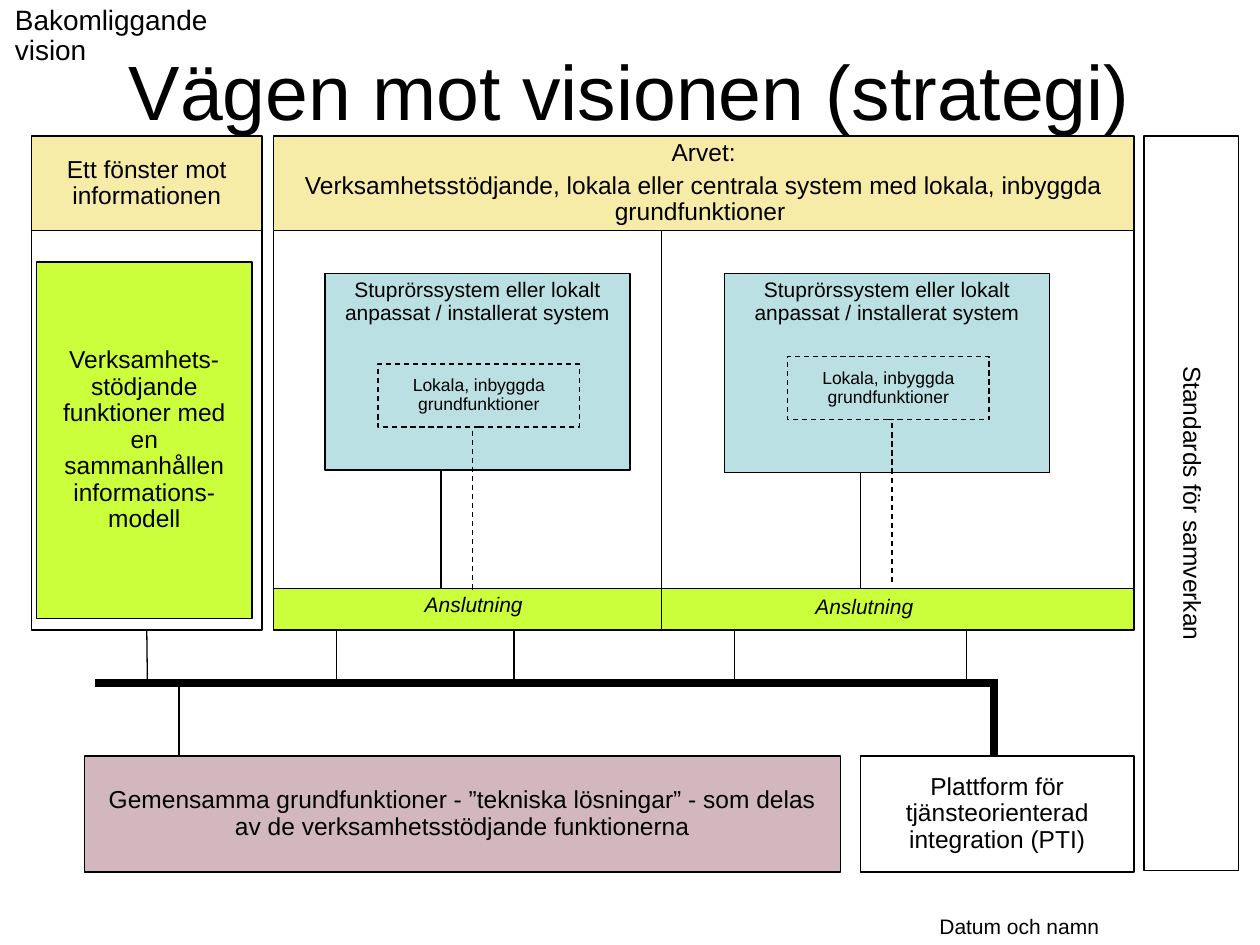
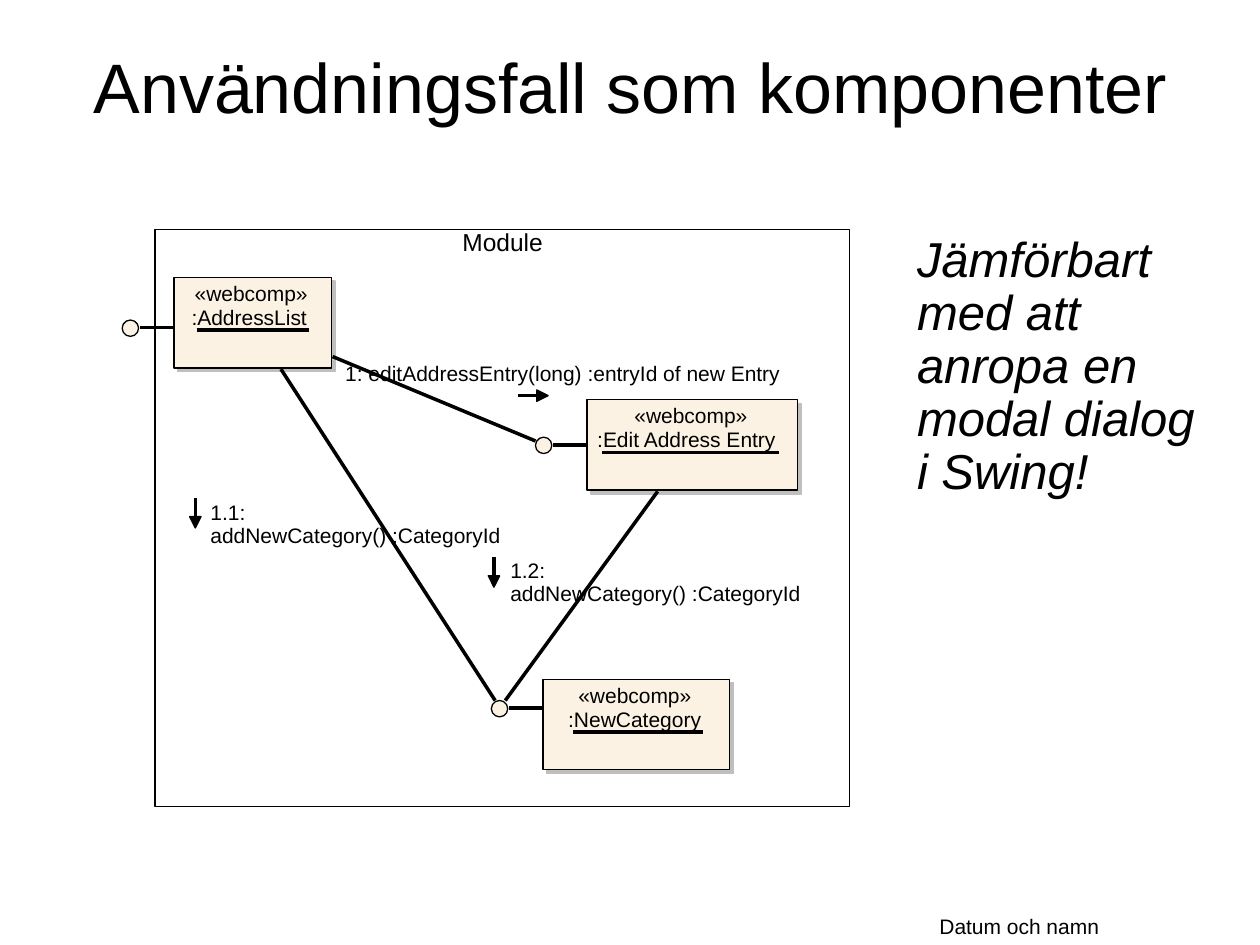
"""Build two slides: an integration strategy map and a component diagram."""
from math import hypot

from lxml import etree
from pptx import Presentation
from pptx import util as u
from pptx.dml.color import RGBColor
from pptx.enum import dml, shapes, text
from pptx.oxml.ns import qn

FONT = "Arial"
BLACK, WHITE = "000000", "FFFFFF"
SAND, LIME, AQUA, MAUVE = "F7ECA7", "CCFF3B", "BBE0E3", "D2B8BE"
CREAM, SHADE = "FCF2E3", "C0BFC0"
THIN, BUS, HAIRLINE = 0.75, 4.5, 0
LEFT, CENTER = text.PP_ALIGN.LEFT, text.PP_ALIGN.CENTER
TOP, MIDDLE = text.MSO_ANCHOR.TOP, text.MSO_ANCHOR.MIDDLE
BOTTOM_SITE, LEFT_SITE = 2, 1
COMPONENT_HEIGHT = 0.72


def paint(color_format, color):
    """Apply a hex colour to a fill, line or font colour."""
    color_format.rgb = RGBColor.from_string(color)


def style_line(line, color, width, dashed=False):
    """Set the colour, width in points and dash of a line."""
    paint(line.color, color)
    line.width = u.Pt(width)
    if dashed:
        line.dash_style = dml.MSO_LINE.DASH


def write(shape, content, size, align=CENTER, anchor=TOP, italic=False,
          spacing=0.9, inset=True, wrap=True):
    """Fill a shape with formatted text, one paragraph per line."""
    frame = shape.text_frame
    frame.text = content
    frame.word_wrap = wrap
    frame.vertical_anchor = anchor
    frame.margin_left = frame.margin_right = u.Inches(0.1 if inset else 0)
    frame.margin_top = frame.margin_bottom = u.Inches(0.05 if inset else 0)
    for index, paragraph in enumerate(frame.paragraphs):
        paragraph.alignment = align
        paragraph.line_spacing = spacing
        paragraph.space_before = u.Pt(size / 4 if index else 0)
        for run in paragraph.runs:
            run.font.name = FONT
            run.font.size = u.Pt(size)
            run.font.italic = italic
            paint(run.font.color, BLACK)


def add_text(slide, area, content, size, **options):
    """Add a text box over an area of left, top, width and height."""
    box = slide.shapes.add_textbox(*map(u.Inches, area))
    write(box, content, size, **options)
    return box


def add_label(slide, area, content, size=12, **options):
    """Add a one-line label without insets."""
    return add_text(slide, area, content, size, align=LEFT, inset=False,
                    wrap=False, **options)


def finish(shape, fill, outline=BLACK, width=THIN, dashed=False):
    """Remove the shadow of a shape and set its fill and outline."""
    shape.shadow.inherit = False
    if fill:
        shape.fill.solid()
        paint(shape.fill.fore_color, fill)
    else:
        shape.fill.background()
    style_line(shape.line, outline, width, dashed)


def add_box(slide, area, fill, content="", size=14, anchor=MIDDLE, kind="RECTANGLE", **look):
    """Add a preset shape, with text if there is any."""
    shape = slide.shapes.add_shape(shapes.MSO_SHAPE[kind], *map(u.Inches, area))
    finish(shape, fill, **look)
    if content:
        write(shape, content, size, anchor=anchor)
    return shape


def add_line(slide, start, end, width=THIN, dashed=False):
    """Add a straight connector between two points."""
    line = slide.shapes.add_connector(
        shapes.MSO_CONNECTOR.STRAIGHT, *map(u.Inches, (*start, *end)))
    style_line(line.line, BLACK, width, dashed)
    etree.SubElement(line._element.spPr, qn("a:effectLst"))
    return line


def add_slide(presentation, title, title_size):
    """Add a blank slide with the shared title and footer."""
    slide = presentation.slides.add_slide(presentation.slide_layouts[6])
    add_text(slide, (6.18, 7.2, 3.82, 0.3), "Datum och namn", 12, spacing=1)
    add_text(slide, (0.5, 0.3, 9, 1.25), title, title_size, spacing=1)
    return slide


def add_system(slide, system, functions, link, functions_link):
    """Add a legacy system, its built-in functions and its two links."""
    add_box(slide, system, AQUA,
            "Stuprörssystem eller lokalt anpassat / installerat system", 12, TOP)
    add_box(slide, functions, AQUA, "Lokala, inbyggda grundfunktioner", 10, dashed=True)
    add_line(slide, (link, system[1] + system[3]), (link, 4.67))
    top = functions[1] + functions[3] + 0.03
    add_line(slide, (functions_link, top), (functions_link, top + 1.28), dashed=True)


def add_component(slide, left, top, width, name, name_left, name_width, port_y):
    """Add a web component with its shade, underlined name and port."""
    add_box(slide, (left + 0.03, top + 0.03, width, COMPONENT_HEIGHT), SHADE,
            outline=SHADE, width=HAIRLINE)
    body = add_box(slide, (left, top, width, COMPONENT_HEIGHT), CREAM, width=HAIRLINE)
    add_label(slide, (left + width / 2 - 0.46, top + 0.05, 0.9, 0.18), "«webcomp»")
    add_label(slide, (name_left, top + 0.24, name_width, 0.18), name)
    add_line(slide, (name_left + 0.04, top + 0.42),
             (name_left + name_width + 0.01, top + 0.42), HAIRLINE)
    stem = add_line(slide, (left, port_y), (left - 0.27, port_y), HAIRLINE)
    if abs(port_y - top - COMPONENT_HEIGHT / 2) < 0.01:
        stem.begin_connect(body, LEFT_SITE)
    add_box(slide, (left - 0.41, port_y - 0.06, 0.13, 0.13), CREAM,
            kind="OVAL", width=HAIRLINE)


def add_message(slide, area, content, tail, tip):
    """Add a message label and the arrow that shows its direction."""
    add_label(slide, area, content)
    length = hypot(tip[0] - tail[0], tip[1] - tail[1])
    along = [(end - start) / length for start, end in zip(tail, tip)]
    base = [end - 0.09 * step for end, step in zip(tip, along)]
    add_line(slide, tail, base, HAIRLINE)
    side = (-0.045 * along[1], 0.045 * along[0])
    corners = [(base[0] + side[0], base[1] + side[1]),
               (base[0] - side[0], base[1] - side[1]), tip]
    points = [tuple(map(u.Inches, corner)) for corner in corners]
    builder = slide.shapes.build_freeform(*points[0])
    builder.add_line_segments(points[1:], close=True)
    finish(builder.convert_to_shape(), BLACK, width=HAIRLINE)


def build_strategy(presentation):
    """Build the map of legacy systems, shared functions and the bus."""
    slide = add_slide(presentation, "Vägen mot visionen (strategi)", 44)
    window = add_box(slide, (0.25, 1.83, 1.83, 3.17), None)
    add_box(slide, (0.25, 1.08, 1.83, 0.75), SAND, "Ett fönster mot informationen")
    add_box(slide, (0.29, 2.08, 1.71, 2.83), LIME,
            "Verksamhets- stödjande funktioner med en sammanhållen informations-modell")
    for edge in (2.17, 9):
        add_line(slide, (edge, 1.08), (edge, 4.67))
    add_box(slide, (2.17, 1.08, 6.83, 0.75), SAND,
            "Arvet:\nVerksamhetsstödjande, lokala eller centrala system "
            "med lokala, inbyggda grundfunktioner ")

    add_line(slide, (0.75, 5.42), (7.92, 5.42), BUS)
    add_line(slide, (7.89, 5.42), (7.89, 6), BUS)
    add_line(slide, (1.42, 5.42), (1.42, 6))
    add_line(slide, (1.17, 5), (1.17, 5.42)).begin_connect(window, BOTTOM_SITE)
    for drop in (2.67, 4.08, 5.83, 7.67):
        add_line(slide, (drop, 5), (drop, 5.42))

    add_box(slide, (0.67, 6, 6, 0.92), MAUVE,
            "Gemensamma grundfunktioner - ”tekniska lösningar” - "
            "som delas av de verksamhetsstödjande funktionerna")
    add_box(slide, (6.83, 6, 2.17, 0.92), WHITE,
            "Plattform för tjänsteorienterad integration (PTI)")
    add_box(slide, (2.17, 4.67, 6.83, 0.33), LIME)
    for left, top in ((3.27, 4.67), (6.37, 4.68)):
        add_text(slide, (left, top, 0.98, 0.28), "Anslutning", 12, italic=True, wrap=False)
    add_system(slide, (2.58, 2.17, 2.42, 1.56), (3, 2.89, 1.6, 0.5), 3.5, 3.75)
    add_system(slide, (5.75, 2.17, 2.58, 1.58), (6.25, 2.83, 1.6, 0.5), 6.83, 7.08)
    add_line(slide, (5.25, 1.83), (5.25, 5))
    standards = add_box(slide, (6.54, 3.62, 5.83, 0.75), WHITE, "Standards för samverkan")
    standards.rotation = 90
    add_text(slide, (0.02, 0, 2.35, 0.34), "Bakomliggande vision", 16, align=LEFT, wrap=False)


def build_components(presentation):
    """Build the collaboration diagram of web components."""
    slide = add_slide(presentation, "Användningsfall som komponenter", 40)
    add_text(slide, (7.18, 1.82, 2.4, 2.2),
             "Jämförbart med att anropa en modal dialog i Swing!", 28,
             align=LEFT, italic=True)
    add_box(slide, (1.23, 1.82, 5.51, 4.58), None, width=HAIRLINE)
    add_label(slide, (3.67, 1.83, 0.64, 0.21), "Module", 14)
    add_component(slide, 4.66, 3.17, 1.67, ":Edit Address Entry", 4.74, 1.43, 3.53)
    add_component(slide, 4.31, 5.39, 1.48, ":NewCategory", 4.51, 1.06, 5.62)
    add_component(slide, 1.38, 2.2, 1.25, ":AddressList", 1.52, 0.92, 2.6)
    for start, end in (((5.22, 3.9), (4.01, 5.56)), ((2.23, 2.93), (3.93, 5.56)),
                       ((2.64, 2.83), (4.25, 3.5))):
        add_line(slide, start, end, HAIRLINE)
    add_message(slide, (2.74, 2.88, 3.46, 0.18),
                "1: editAddressEntry(long) :entryId of new Entry", (4.11, 3.14), (4.35, 3.14))
    add_message(slide, (1.67, 3.99, 2.63, 0.18),
                "1.1: addNewCategory() :CategoryId", (1.55, 3.95), (1.55, 4.19))
    add_message(slide, (4.05, 4.45, 2.63, 0.18),
                "1.2: addNewCategory() :CategoryId", (3.92, 4.42), (3.92, 4.66))


def main():
    """Create the presentation and save it."""
    presentation = Presentation()
    presentation.slide_width = u.Inches(10)
    presentation.slide_height = u.Inches(7.5)
    build_strategy(presentation)
    build_components(presentation)
    presentation.save("out.pptx")


if __name__ == "__main__":
    main()
